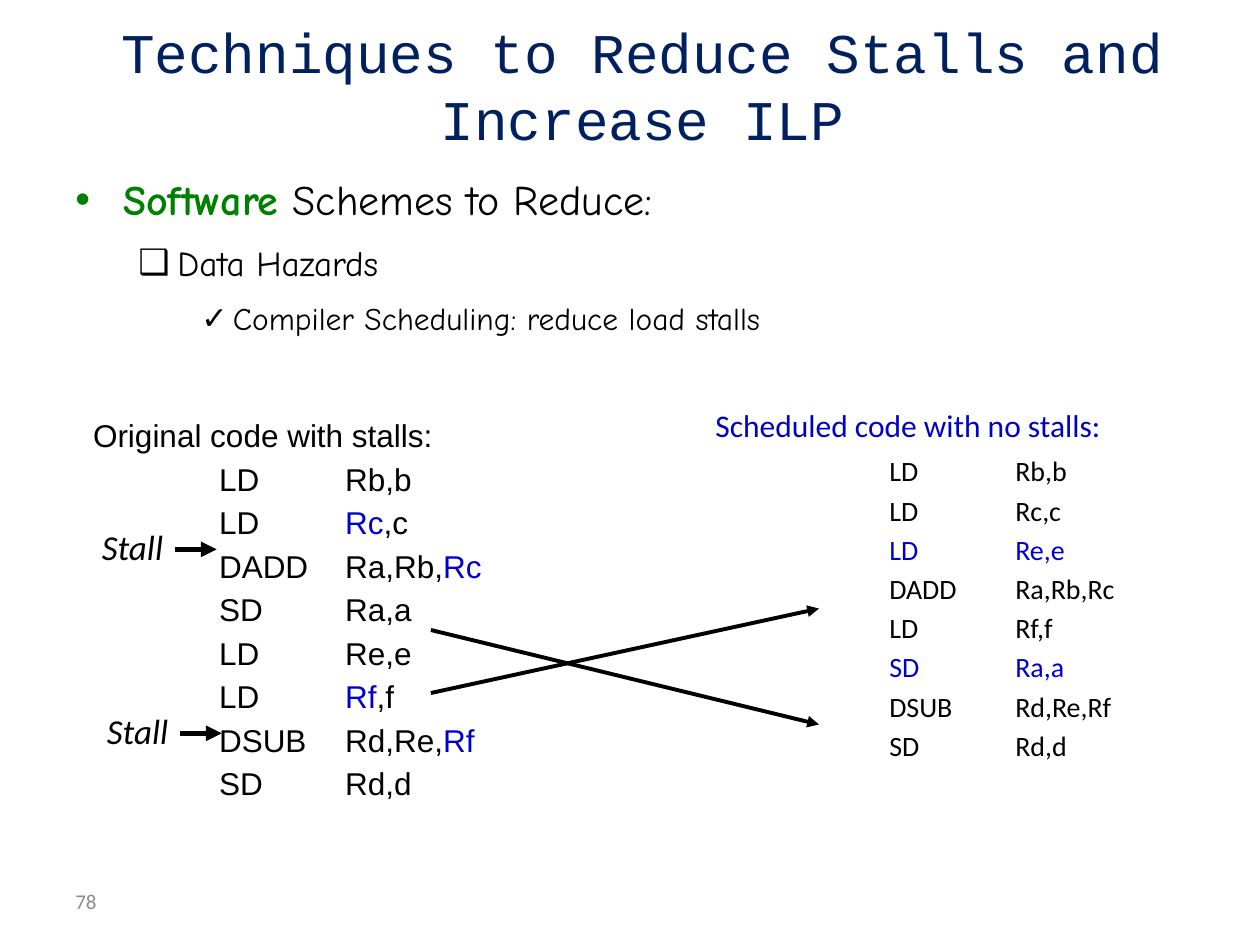
from lxml import etree
from pptx import Presentation
from pptx.dml.color import RGBColor
from pptx.enum.shapes import MSO_CONNECTOR
from pptx.enum.text import MSO_ANCHOR, MSO_AUTO_SIZE, PP_ALIGN
from pptx.oxml.ns import qn
from pptx.util import Inches, Pt

STRAIGHT = MSO_CONNECTOR.STRAIGHT
MIDDLE = MSO_ANCHOR.MIDDLE
NO_FIT, GROW = MSO_AUTO_SIZE.NONE, MSO_AUTO_SIZE.SHAPE_TO_FIT_TEXT
CENTER, JUSTIFY = PP_ALIGN.CENTER, PP_ALIGN.JUSTIFY
rgb = RGBColor.from_string
BLACK, BLUE, GREEN, NAVY, GREY = "000000", "0000CC", "008000", "002060", "8C8C8C"

prs = Presentation()
prs.slide_width, prs.slide_height = Inches(10), Inches(7.5)
COL, ROW = prs.slide_width / 10, prs.slide_height / 7.5
s = prs.slides.add_slide(prs.slide_layouts[5])


def write(sp, lines, font, before=0, wrap=True):
    """Fill a shape; each line is a list of (text, size, colour) runs."""
    tf = sp.text_frame
    tf.word_wrap = wrap
    tf.auto_size = NO_FIT if wrap else GROW
    for i, runs in enumerate(lines):
        p = tf.paragraphs[0] if i == 0 else tf.add_paragraph()
        p._p.get_or_add_pPr().set("defTabSz", str(int(COL)))
        if before:
            p.space_before = Pt(0)
            spacing = p._p.pPr.find(qn("a:spcBef"))
            spacing.clear()
            etree.SubElement(spacing, qn("a:spcPct"), val=str(before * 1000))
        for text, size, colour in runs:
            r = p.add_run()
            r.text = text
            r.font.name, r.font.size = font, Pt(size)
            r.font.color.rgb = rgb(colour)
    return tf


def arrow(shapes, x1, y1, x2, y2, width):
    ln = shapes.add_connector(STRAIGHT, int(x1 * COL), int(y1 * ROW),
                              int(x2 * COL), int(y2 * ROW))
    ln.line.color.rgb = rgb(BLACK)
    ln.line.width = Pt(width)
    etree.SubElement(ln.line._get_or_add_ln(), qn("a:tailEnd"), type="triangle")
    etree.SubElement(ln._element.spPr, qn("a:effectLst"))


# Title
title = s.shapes.title
title.left, title.top = int(0.6 * COL), int(0.17 * ROW)
title.width, title.height = int(9 * COL), int(ROW)
tf = write(title, [[("Techniques to Reduce Stalls and Increase ILP", 32, NAVY)]],
           "Courier New")
tf.vertical_anchor = MIDDLE
tf.paragraphs[0].alignment = CENTER

# Slide number
sp = s.shapes.add_textbox(int(0.5 * COL), int(6.95 * ROW), int(2.33 * COL), int(0.4 * ROW))
write(sp, [[("78", 12, GREY)]], "Calibri").vertical_anchor = MIDDLE

# Outline with three bullet levels
sp = s.shapes.add_textbox(int(0.5 * COL), int(1.33 * ROW), int(9 * COL), int(1.6 * ROW))
tf = write(sp, [
    [("Software", 24, GREEN), (" Schemes to Reduce:", 24, BLACK)],
    [("Data Hazards", 20, BLACK)],
    [("Compiler Scheduling: reduce load stalls", 18, BLACK)],
], "Comic Neue", before=50)
tf.paragraphs[0].runs[0].font.bold = True
bullets = [("•", 0.38, 0.38), ("❑", 0.81, 0.31), ("✓", 1.25, 0.25)]
for level, (p, (char, margin, hang)) in enumerate(zip(tf.paragraphs, bullets)):
    p.level, p.alignment = level, JUSTIFY
    pPr = p._p.get_or_add_pPr()
    pPr.set("marL", str(int(margin * COL)))
    pPr.set("indent", str(int(-hang * COL)))
    etree.SubElement(pPr, qn("a:buFont"), typeface="Arial")
    etree.SubElement(pPr, qn("a:buChar"), char=char)

# Scheduled code
scheduled = [("LD", "Rb,b", BLACK), ("LD", "Rc,c", BLACK), ("LD", "Re,e", BLUE),
             ("DADD", "Ra,Rb,Rc", BLACK), ("LD", "Rf,f", BLACK), ("SD", "Ra,a", BLUE),
             ("DSUB", "Rd,Re,Rf", BLACK), ("SD", "Rd,d", BLACK)]
lines = [[("Scheduled code with no stalls:", 18, BLUE)]]
for i, (op, args, colour) in enumerate(scheduled):
    lines.append([("\t\t", 18 if i == 0 else 16, colour), (f"{op}\t{args}", 16, colour)])
sp = s.shapes.add_textbox(int(5.58 * COL), int(3.17 * ROW), int(3.92 * COL), int(3.26 * ROW))
tf = write(sp, lines, "Calibri", before=20)
for p in tf.paragraphs:
    pPr = p._p.get_or_add_pPr()
    pPr.set("marL", str(int(0.38 * COL)))
    pPr.set("indent", str(int(-0.38 * COL)))

# Original code, with the registers that cause stalls in blue
original = [("LD", "Rb,b", "", ""), ("LD", "", "Rc", ",c"), ("DADD", "Ra,Rb,", "Rc", ""),
            ("SD", "Ra,a", "", ""), ("LD", "Re,e", "", ""), ("LD", "", "Rf", ",f"),
            ("DSUB", "Rd,Re,", "Rf", ""), ("SD", "Rd,d", "", "")]
lines = [[("Original code with stalls:", 18, BLACK)]]
for op, start, hazard, end in original:
    runs = [(f"\t{op}\t{start}", 18, BLACK), (hazard, 18, BLUE), (end, 18, BLACK)]
    lines.append([run for run in runs if run[0]])
sp = s.shapes.add_textbox(int(0.64 * COL), int(3.29 * ROW), int(3.31 * COL), int(3.46 * ROW))
tf = write(sp, lines, "Arial", before=30, wrap=False)
for p in tf.paragraphs:
    p.line_spacing = 0.9

# Crossing arrows for the swapped instructions
arrow(s.shapes, 3.42, 5.5, 6.5, 4.83, 2.25)
arrow(s.shapes, 3.42, 5, 6.5, 5.75, 2.25)

# Stall markers
for x, y in [(0.75, 5.58), (0.71, 4.12)]:
    group = s.shapes.add_group_shape()
    sp = group.shapes.add_textbox(int(x * COL), int(y * ROW), int(0.72 * COL), int(0.43 * ROW))
    tf = write(sp, [[("Stall", 20, BLACK)]], "Calibri", wrap=False)
    tf.paragraphs[0].runs[0].font.italic = True
    arrow(group.shapes, x + 0.68, y + 0.24, x + 1.01, y + 0.24, 3)

prs.save("out.pptx")
